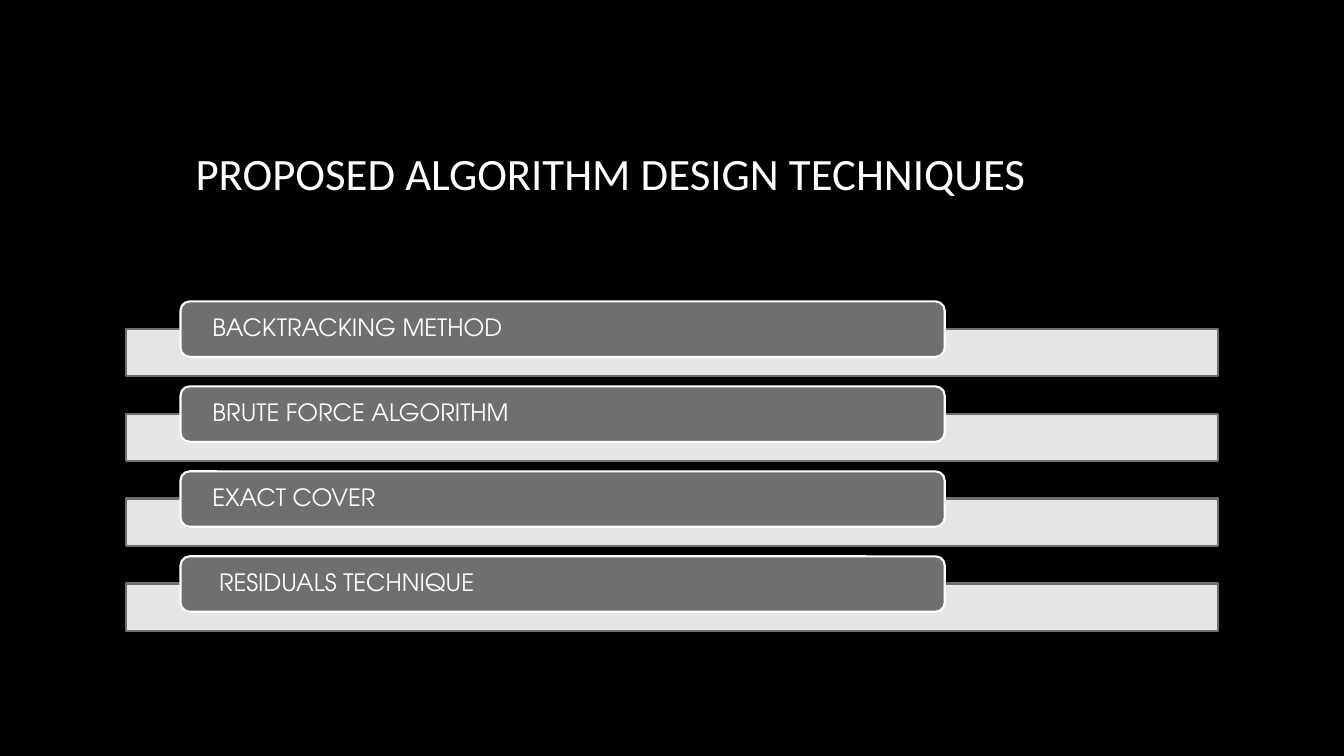
import pptx
import pptx.dml.color
import pptx.enum.shapes
import pptx.enum.text
import pptx.oxml.ns
import pptx.util
from lxml import etree
from pptx.util import Inches

BLACK = pptx.dml.color.RGBColor(0x00, 0x00, 0x00)
WHITE = pptx.dml.color.RGBColor(0xFF, 0xFF, 0xFF)
GRAY = pptx.dml.color.RGBColor(0x6F, 0x6F, 0x6F)

TECHNIQUES = [
    "BACKTRACKING METHOD",
    "BRUTE FORCE ALGORITHM",
    "EXACT COVER",
    " RESIDUALS TECHNIQUE",
]
FIRST_TOP = 2.99
ROW_PITCH = 0.843


def write_text(shape, text, *, font, size, inset, line_spacing=1.0):
    """Put one left-aligned, vertically centred white line in the shape."""
    frame = shape.text_frame
    frame.word_wrap = True
    frame.auto_size = pptx.enum.text.MSO_AUTO_SIZE.NONE
    frame.vertical_anchor = pptx.enum.text.MSO_ANCHOR.MIDDLE
    frame.margin_left = frame.margin_right = Inches(inset)
    frame.margin_top = frame.margin_bottom = 0
    paragraph = frame.paragraphs[0]
    paragraph.alignment = pptx.enum.text.PP_ALIGN.LEFT
    paragraph.line_spacing = line_spacing
    run = paragraph.add_run()
    run.text = text
    run.font.name = font
    run.font.size = pptx.util.Pt(size)
    run.font.color.rgb = WHITE


def add_box(preset, left, top, width, height, *, fill, line):
    box = slide.shapes.add_shape(
        preset, Inches(left), Inches(top), Inches(width), Inches(height))
    box.shadow.inherit = False
    box.fill.solid()
    box.fill.fore_color.rgb = fill
    box.line.color.rgb = line
    box.line.width = pptx.util.Pt(1.5)
    return box


deck = pptx.Presentation()
deck.slide_width = Inches(13.33)
deck.slide_height = Inches(7.5)
slide = deck.slides.add_slide(deck.slide_layouts[5])
slide.background.fill.solid()
slide.background.fill.fore_color.rgb = BLACK

title = slide.shapes.title
title.left, title.top = Inches(1.84), Inches(0.67)
title.width, title.height = Inches(10.25), Inches(2.08)
write_text(title, "PROPOSED ALGORITHM DESIGN TECHNIQUES",
           font="Calibri", size=32, inset=0.1)

for row, technique in enumerate(TECHNIQUES):
    top = FIRST_TOP + row * ROW_PITCH
    bar = add_box(pptx.enum.shapes.MSO_SHAPE.RECTANGLE,
                  1.25, top + 0.27, 10.83, 0.47, fill=WHITE, line=GRAY)
    bar_color = bar.fill._xPr.find(".//" + pptx.oxml.ns.qn("a:srgbClr"))
    etree.SubElement(bar_color, pptx.oxml.ns.qn("a:alpha"), val="90000")

    label = add_box(pptx.enum.shapes.MSO_SHAPE.ROUNDED_RECTANGLE,
                    1.79, top, 7.58, 0.55, fill=GRAY, line=WHITE)
    write_text(label, technique, font="TeX Gyre Adventor", size=17,
               inset=0.29, line_spacing=0.9)

deck.save("out.pptx")
